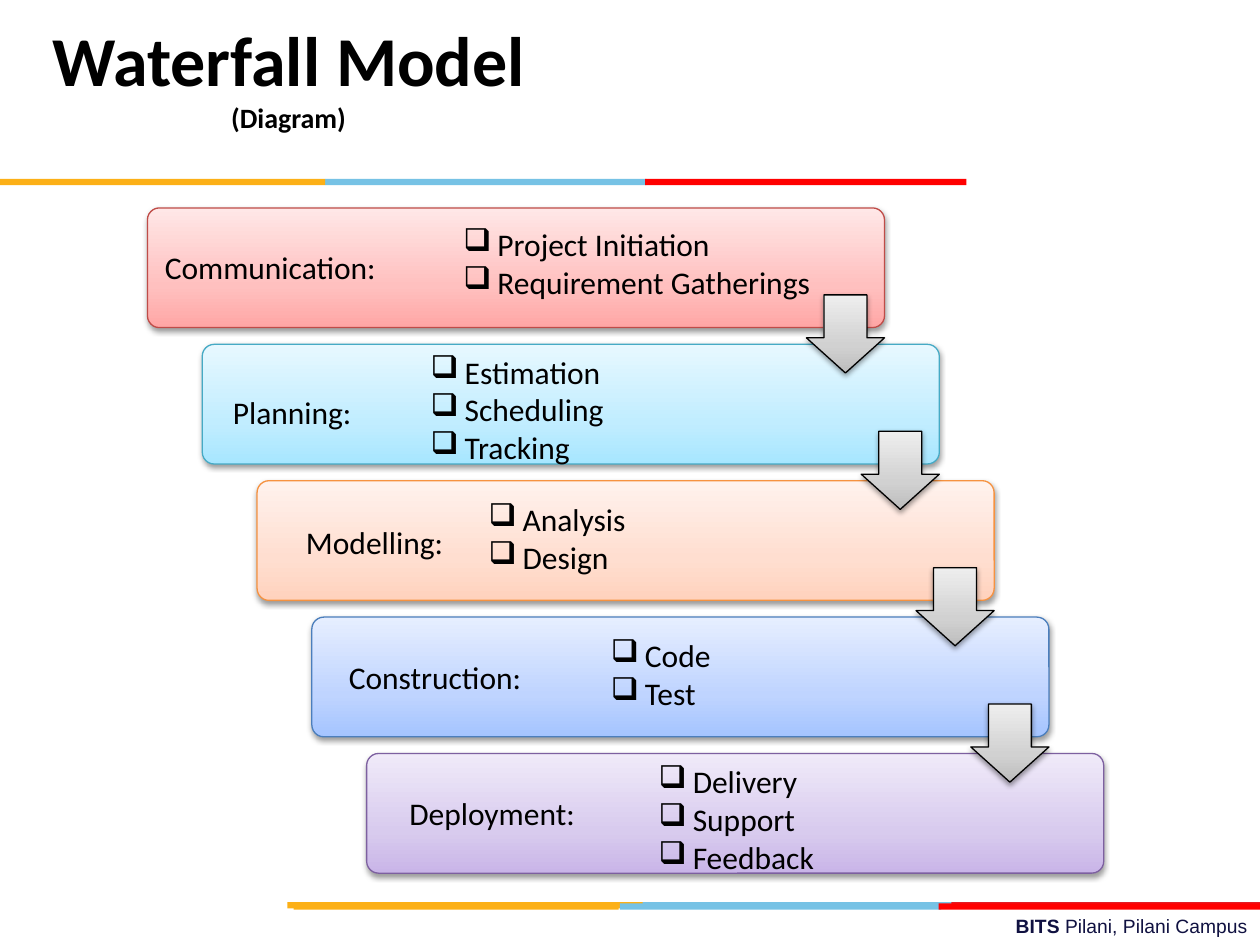
"""Build the Waterfall Model slide: five stepped phases joined by block arrows."""
import copy

import lxml.etree
import pptx
import pptx.dml.color
import pptx.enum.shapes
import pptx.enum.text
import pptx.oxml
import pptx.oxml.ns
import pptx.util

Inches = pptx.util.Inches
Pt = pptx.util.Pt
RGBColor = pptx.dml.color.RGBColor
MSO_SHAPE = pptx.enum.shapes.MSO_SHAPE
qn = pptx.oxml.ns.qn

BLACK = RGBColor(0x00, 0x00, 0x00)
NAVY = RGBColor(0x10, 0x11, 0x41)
AMBER = RGBColor(0xFC, 0xB0, 0x17)
SKY = RGBColor(0x76, 0xC2, 0xE5)
CRIMSON = RGBColor(0xE3, 0x1C, 0x24)
RED = RGBColor(0xFF, 0x00, 0x00)
ARROW_GRAYS = (RGBColor(0xBD, 0xBD, 0xBD), RGBColor(0xD1, 0xD1, 0xD1), RGBColor(0xEE, 0xEE, 0xEE))
PINKS = (RGBColor(0xFF, 0xA6, 0xA5), RGBColor(0xFF, 0xC0, 0xBF), RGBColor(0xFF, 0xE7, 0xE7))
CYANS = (RGBColor(0xA7, 0xE6, 0xFF), RGBColor(0xC1, 0xED, 0xFF), RGBColor(0xE7, 0xF8, 0xFF))
PEACHES = (RGBColor(0xFF, 0xD2, 0xBD), RGBColor(0xFF, 0xDE, 0xD0), RGBColor(0xFF, 0xF2, 0xED))
BLUES = (RGBColor(0xA4, 0xC4, 0xFF), RGBColor(0xBF, 0xD4, 0xFF), RGBColor(0xE6, 0xEE, 0xFF))
PURPLES = (RGBColor(0xC9, 0xB5, 0xE8), RGBColor(0xD8, 0xCB, 0xEE), RGBColor(0xF0, 0xEA, 0xF9))
PINK_LINE = RGBColor(0xBF, 0x4C, 0x48)
CYAN_LINE = RGBColor(0x46, 0xAA, 0xC5)
PEACH_LINE = RGBColor(0xF6, 0x92, 0x40)
BLUE_LINE = RGBColor(0x4B, 0x7E, 0xBC)
PURPLE_LINE = RGBColor(0x7D, 0x60, 0xA0)

SHADOW = (
    '<a:outerShdw xmlns:a="http://schemas.openxmlformats.org/drawingml/2006/main" '
    'blurRad="40000" dist="20000" dir="5400000" rotWithShape="0">'
    '<a:srgbClr val="000000"><a:alpha val="38000"/></a:srgbClr></a:outerShdw>'
)
STEP_WIDTH, STEP_HEIGHT, ARROW_SIZE = 5.85, 0.95, 0.62

presentation = pptx.Presentation()
presentation.slide_width = Inches(10)
presentation.slide_height = Inches(7.5)
slide = presentation.slides.add_slide(presentation.slide_layouts[6])


def add_gradient_shape(kind, left, top, width, height, adjustments, colors, line_color):
    shape = slide.shapes.add_shape(kind, Inches(left), Inches(top), Inches(width), Inches(height))
    for index, value in enumerate(adjustments):
        shape.adjustments[index] = value
    shape.fill.gradient()
    shape.fill.gradient_angle = 90
    stop_list = shape._element.spPr.find(".//" + qn("a:gsLst"))
    stop_list.insert(1, copy.deepcopy(stop_list[0]))
    for stop, position, color in zip(shape.fill.gradient_stops, (0, 0.35, 1), colors):
        stop.position = position
        stop.color.rgb = color
    shape.line.color.rgb = line_color
    shape.line.width = Pt(0.75)
    shape.shadow.inherit = False
    shape._element.spPr.find(qn("a:effectLst")).append(pptx.oxml.parse_xml(SHADOW))


def add_text(left, top, width, height, lines, bulleted=False):
    box = slide.shapes.add_textbox(Inches(left), Inches(top), Inches(width), Inches(height))
    box.text_frame.word_wrap = False
    box.text_frame.auto_size = pptx.enum.text.MSO_AUTO_SIZE.SHAPE_TO_FIT_TEXT
    box.text_frame.text = "\n".join(lines)
    for paragraph in box.text_frame.paragraphs:
        if bulleted:
            properties = paragraph._p.get_or_add_pPr()
            properties.set("marL", str(Inches(0.27)))
            properties.set("indent", str(-Inches(0.27)))
            lxml.etree.SubElement(properties, qn("a:buChar")).set("char", "❑")
        for run in paragraph.runs:
            run.font.name = "Calibri"
            run.font.size = Pt(18)
            run.font.color.rgb = BLACK


footer = slide.shapes.add_textbox(Inches(3.58), Inches(7.21), Inches(6.42), Inches(0.29))
footer.text_frame.word_wrap = True
paragraph = footer.text_frame.paragraphs[0]
paragraph.alignment = pptx.enum.text.PP_ALIGN.RIGHT
for text, bold in (("BITS ", True), ("Pilani, Pilani Campus", False)):
    run = paragraph.add_run()
    run.text = text
    run.font.name = "Arial"
    run.font.size = Pt(11)
    run.font.bold = bold
    run.font.color.rgb = NAVY

bars = (
    (5.06, 7.16, 2.55, SKY),
    (7.55, 7.16, 2.45, CRIMSON),
    (2.28, 7.16, 2.82, AMBER),
    (4.92, 7.17, 2.55, SKY),
    (2.33, 7.17, 2.58, AMBER),
    (7.45, 7.17, 2.55, RED),
    (2.58, 1.42, 2.55, SKY),
    (0, 1.42, 2.58, AMBER),
    (5.12, 1.42, 2.55, RED),
)
for left, top, width, color in bars:
    bar = slide.shapes.add_shape(
        MSO_SHAPE.RECTANGLE, Inches(left), Inches(top), Inches(width), Inches(0.05))
    bar.fill.solid()
    bar.fill.fore_color.rgb = color
    bar.line.fill.background()
    bar.shadow.inherit = False

phases = (
    ("Communication:", (1.21, 1.92, 1.96), ("Project Initiation", "Requirement Gatherings"),
     (3.58, 1.74, 2.96), PINKS, PINK_LINE),
    ("Planning:", (1.75, 3.07, 1.17), ("Estimation", "Scheduling", "Tracking"),
     (3.32, 2.75, 1.63), CYANS, CYAN_LINE),
    ("Modelling:", (2.33, 4.1, 1.32), ("Analysis", "Design"),
     (3.78, 3.92, 1.36), PEACHES, PEACH_LINE),
    ("Construction:", (2.67, 5.17, 1.64), ("Code", "Test"),
     (4.75, 5, 1.02), BLUES, BLUE_LINE),
    ("Deployment:", (3.15, 6.25, 1.52), ("Delivery", "Support", "Feedback"),
     (5.13, 6, 1.46), PURPLES, PURPLE_LINE),
)
steps = [(1.17 + 0.435 * index, 1.65 + 1.0825 * index) for index in range(len(phases))]
for (left, top), (*_, colors, line_color) in zip(steps, phases):
    add_gradient_shape(MSO_SHAPE.ROUNDED_RECTANGLE, left, top, STEP_WIDTH, STEP_HEIGHT,
                       (0.1,), colors, line_color)
for left, top in steps[:-1]:
    add_gradient_shape(MSO_SHAPE.DOWN_ARROW, left + STEP_WIDTH - ARROW_SIZE, top + 0.69,
                       ARROW_SIZE, ARROW_SIZE, (0.55, 0.45), ARROW_GRAYS, BLACK)
for label, label_place, tasks, tasks_place, *_ in phases:
    add_text(*label_place, 0.4, [label])
    add_text(*tasks_place, 0.1 + 0.3 * len(tasks), tasks, bulleted=True)

title = slide.shapes.add_textbox(Inches(0.08), Inches(0.25), Inches(4.42), Inches(0.75))
title.text_frame.word_wrap = True
title.text_frame.vertical_anchor = pptx.enum.text.MSO_ANCHOR.MIDDLE
paragraph = title.text_frame.paragraphs[0]
paragraph.text = "Waterfall Model\v(Diagram)"
paragraph.alignment = pptx.enum.text.PP_ALIGN.CENTER
paragraph.line_spacing = 0.95
for run, size in zip(paragraph.runs, (40, 16)):
    run.font.name = "Calibri"
    run.font.size = Pt(size)
    run.font.bold = True
    run.font.color.rgb = BLACK

presentation.save("out.pptx")
